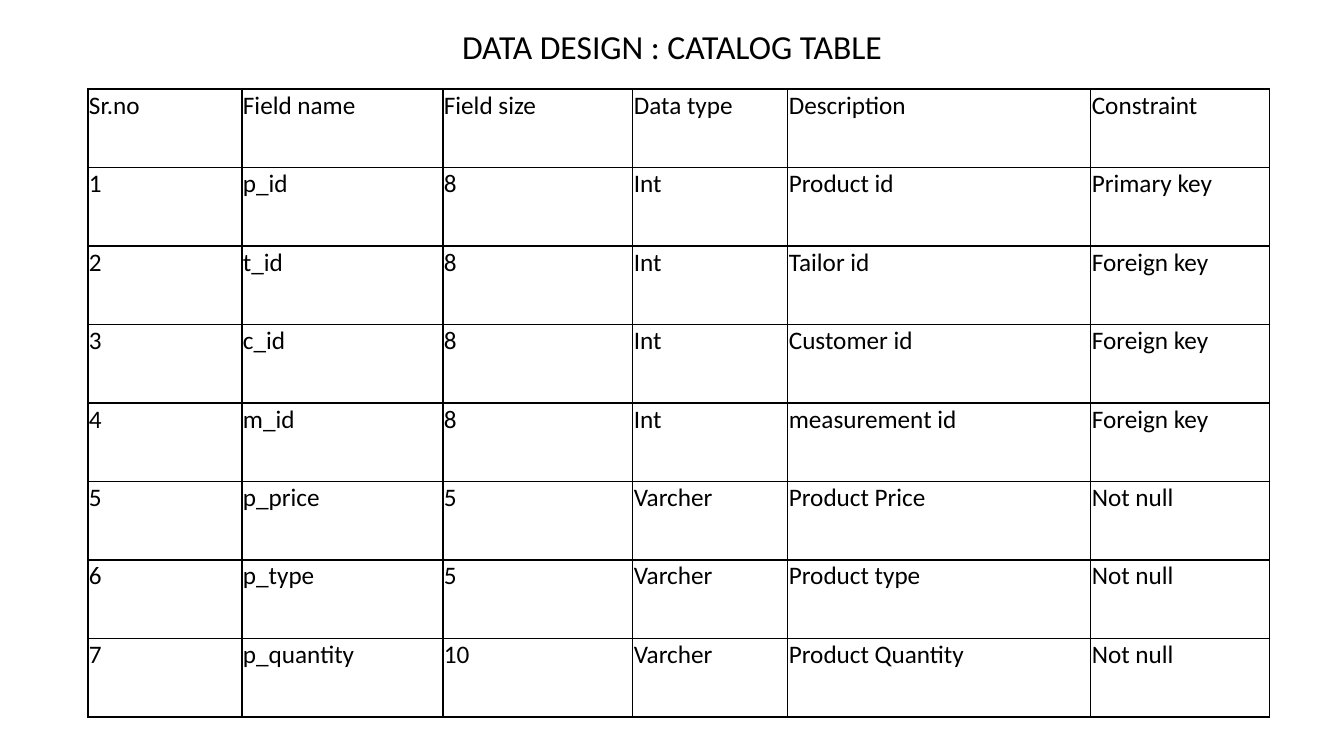
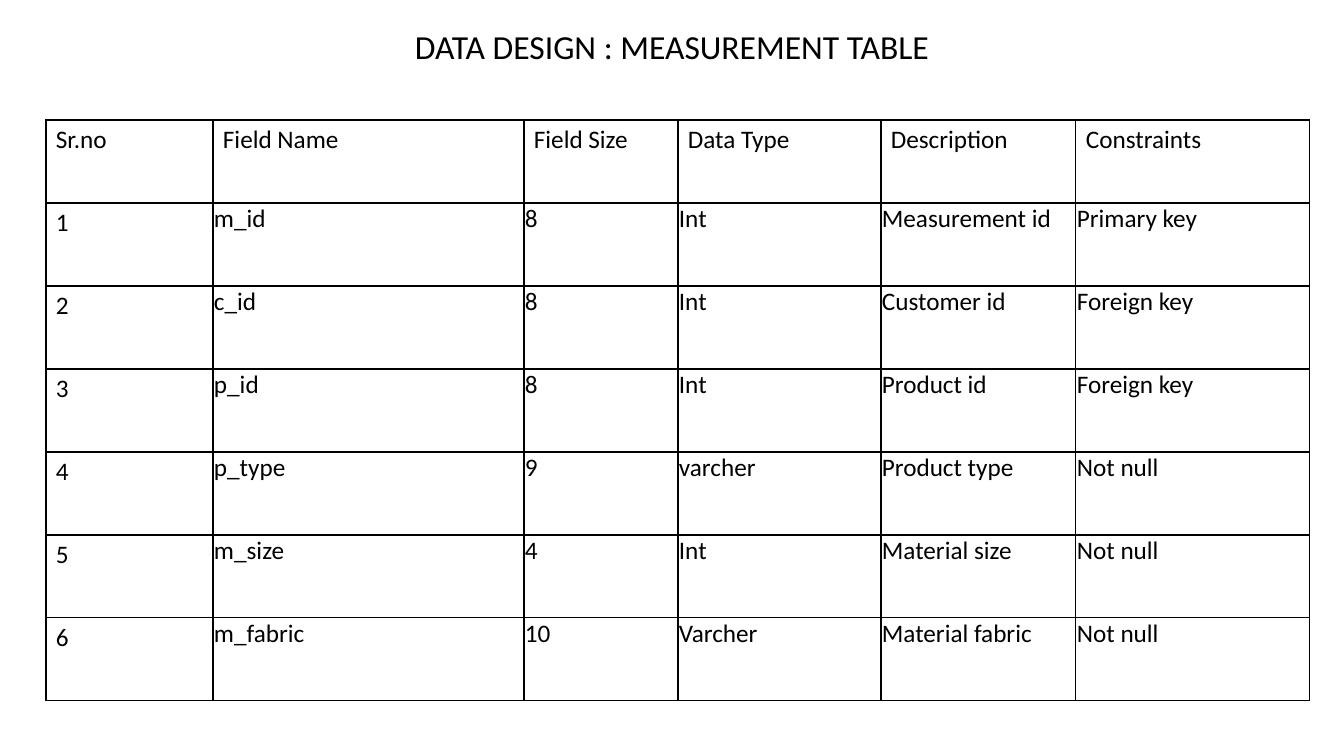
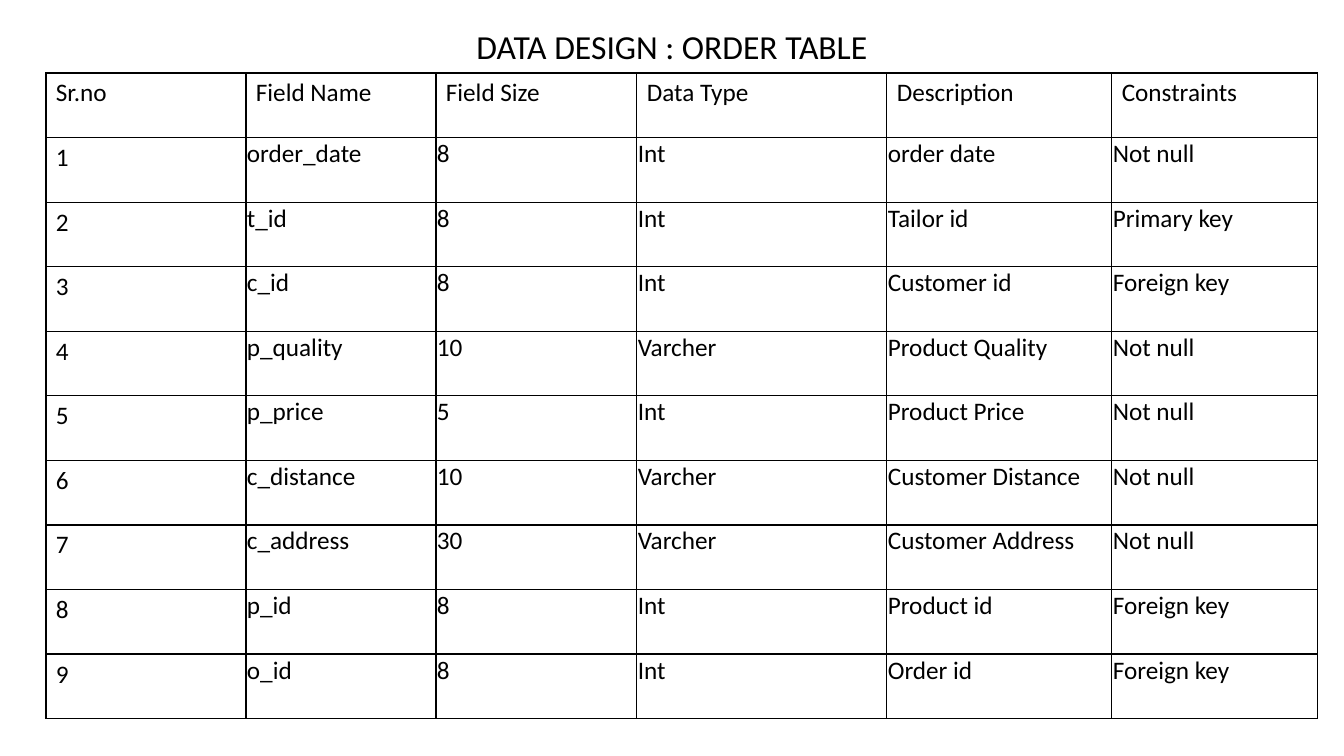
import lxml.etree
import pptx
import pptx.dml.color
import pptx.enum.text
import pptx.oxml.ns
import pptx.util

EMU_PER_PX = 914400 / 100.8
SLIDE_WIDTH, SLIDE_HEIGHT = 1344, 756

BLACK = pptx.dml.color.RGBColor(0x00, 0x00, 0x00)
FONT_NAME = "Calibri"
TITLE_BOX = (168, 25, 1008, 64)
TITLE_SIZE, CELL_SIZE = 24, 18
BORDER_POINTS = 1

WIDE_INSETS = {"margin_left": 10, "margin_top": 5, "margin_right": 10, "margin_bottom": 5}
TIGHT_INSETS = {"margin_left": 1, "margin_top": 1, "margin_right": 1, "margin_bottom": 5}

# The box of a table is left, top and height; its width is the sum of the columns.
TABLE_SLIDES = [
    {
        "title": "DATA DESIGN : CATALOG TABLE",
        "box": (88, 89, 628),
        "columns": (154, 201, 190, 155, 303, 179),
        "label_insets": TIGHT_INSETS,
        "header": ("Sr.no", "Field name", "Field size", "Data type", "Description", "Constraint"),
        "fields": [
            ("p_id", "8", "Int", "Product id", "Primary key"),
            ("t_id", "8", "Int", "Tailor id", "Foreign key"),
            ("c_id", "8", "Int", "Customer id", "Foreign key"),
            ("m_id", "8", "Int", "measurement id", "Foreign key"),
            ("p_price", "5", "Varcher", "Product Price", "Not null"),
            ("p_type", "5", "Varcher", "Product type", "Not null"),
            ("p_quantity", "10", "Varcher", "Product Quantity", "Not null"),
        ],
    },
    {
        "title": "DATA DESIGN : MEASUREMENT TABLE",
        "box": (46, 120, 581),
        "columns": (167, 311, 154, 203, 195, 234),
        "label_insets": WIDE_INSETS,
        "header": ("Sr.no", "Field Name", "Field Size", "Data Type", "Description", "Constraints"),
        "fields": [
            ("m_id", "8", "Int", "Measurement id", "Primary key"),
            ("c_id", "8", "Int", "Customer id", "Foreign key"),
            ("p_id", "8", "Int", "Product id", "Foreign key"),
            ("p_type", "9", "varcher", "Product type", "Not null"),
            ("m_size", "4", "Int", "Material size", "Not null"),
            ("m_fabric", "10", "Varcher", "Material fabric", "Not null"),
        ],
    },
    {
        "title": "DATA DESIGN : ORDER TABLE",
        "box": (46, 73, 646),
        "columns": (200, 190, 201, 250, 225, 206),
        "label_insets": WIDE_INSETS,
        "header": ("Sr.no", "Field Name", "Field Size", "Data Type", "Description", "Constraints"),
        "fields": [
            ("order_date", "8", "Int", "order date", "Not null"),
            ("t_id", "8", "Int", "Tailor id", "Primary key"),
            ("c_id", "8", "Int", "Customer id", "Foreign key"),
            ("p_quality", "10", "Varcher", "Product Quality", "Not null"),
            ("p_price", "5", "Int", "Product Price", "Not null"),
            ("c_distance", "10", "Varcher", "Customer Distance", "Not null"),
            ("c_address", "30", "Varcher", "Customer Address", "Not null"),
            ("p_id", "8", "Int", "Product id", "Foreign key"),
            ("o_id", "8", "Int", "Order id", "Foreign key"),
        ],
    },
]


def px(length):
    return pptx.util.Emu(round(length * EMU_PER_PX))


def set_attributes(target, values):
    for name, value in values.items():
        setattr(target, name, value)


def write_text(paragraph, text, size):
    run = paragraph.add_run()
    run.text = text
    set_attributes(run.font, {"name": FONT_NAME, "size": pptx.util.Pt(size)})
    run.font.color.rgb = BLACK


def add_title(slide, box, text):
    frame = slide.shapes.add_textbox(*map(px, box)).text_frame
    frame.word_wrap = True
    paragraph = frame.paragraphs[0]
    set_attributes(paragraph, {
        "alignment": pptx.enum.text.PP_ALIGN.CENTER,
        "line_spacing": 0.9,
        "space_before": pptx.util.Pt(10),
    })
    write_text(paragraph, text, TITLE_SIZE)


def draw_cell_borders(cell):
    """Line all four sides; the lines must stand before the fill."""
    properties = cell._tc.get_or_add_tcPr()
    qualify = pptx.oxml.ns.qn
    for position, side in enumerate(("lnL", "lnR", "lnT", "lnB")):
        line = lxml.etree.Element(qualify("a:" + side), w=str(pptx.util.Pt(BORDER_POINTS)))
        fill = lxml.etree.SubElement(line, qualify("a:solidFill"))
        lxml.etree.SubElement(fill, qualify("a:srgbClr"), val=str(BLACK))
        properties.insert(position, line)


def fill_cell(cell, text, insets):
    set_attributes(cell, {name: px(length) for name, length in insets.items()})
    write_text(cell.text_frame.paragraphs[0], text, CELL_SIZE)
    cell.fill.background()
    draw_cell_borders(cell)


def add_field_table(slide, box, columns, header, fields, label_insets):
    """Number the fields; the header and the numbers take the label insets."""
    left, top, height = box
    rows = [header] + [(str(number), *field) for number, field in enumerate(fields, 1)]
    frame = slide.shapes.add_table(len(rows), len(columns), px(left), px(top),
                                   px(sum(columns)), px(height))
    table = frame.table
    set_attributes(table, {"first_row": False, "horz_banding": False})
    for column, width in zip(table.columns, columns):
        column.width = px(width)
    for row_index, (row, texts) in enumerate(zip(table.rows, rows)):
        row.height = px(height / len(rows))
        for column_index, (cell, text) in enumerate(zip(row.cells, texts)):
            is_label = row_index == 0 or column_index == 0
            fill_cell(cell, text, label_insets if is_label else TIGHT_INSETS)


def add_table_slide(presentation, title, **table_parts):
    slide = presentation.slides.add_slide(presentation.slide_layouts[6])
    add_title(slide, TITLE_BOX, title)
    add_field_table(slide, **table_parts)


def main():
    presentation = pptx.Presentation()
    set_attributes(presentation, {
        "slide_width": px(SLIDE_WIDTH),
        "slide_height": px(SLIDE_HEIGHT),
    })
    for table_slide in TABLE_SLIDES:
        add_table_slide(presentation, **table_slide)
    presentation.save("out.pptx")


if __name__ == "__main__":
    main()
